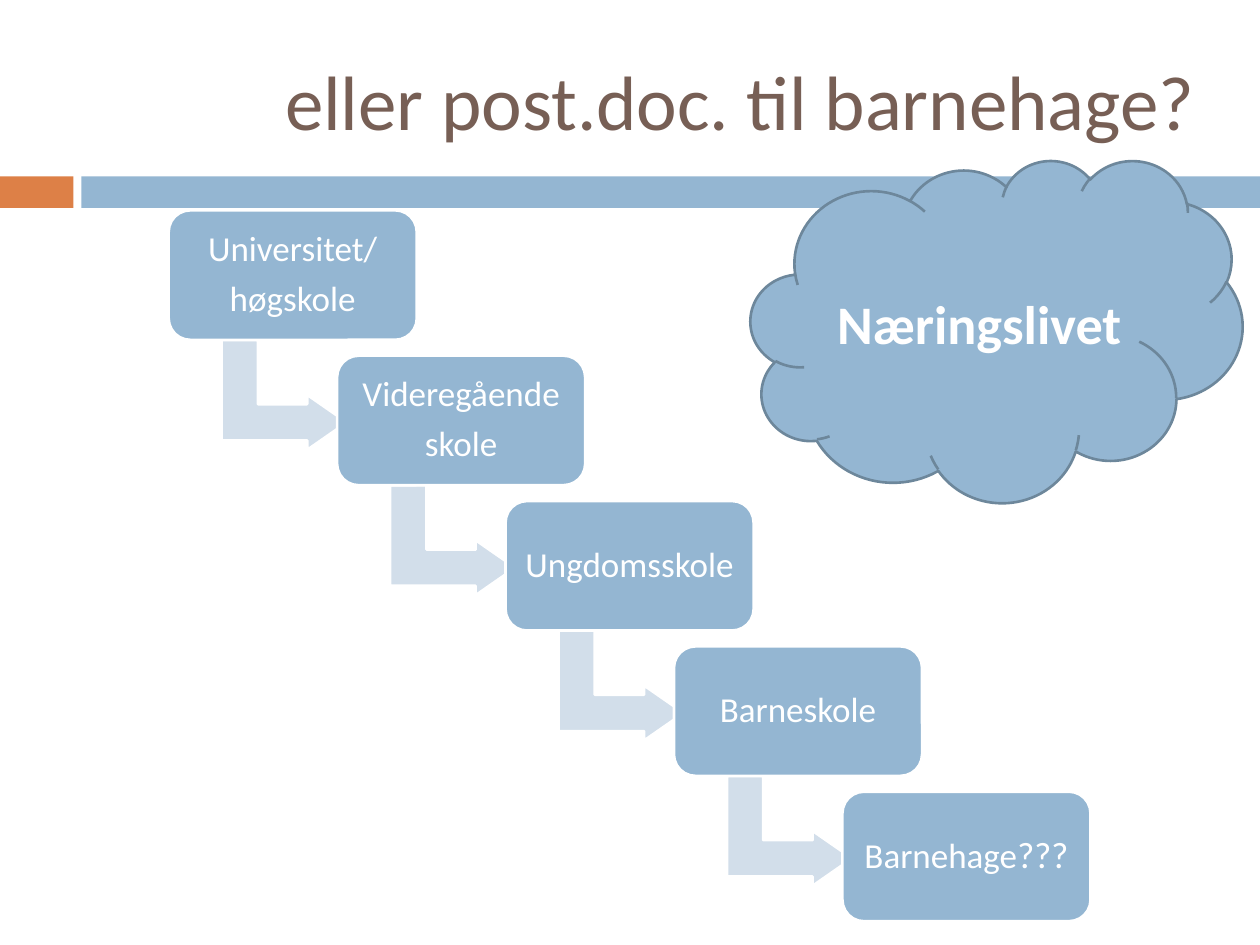
"""Build the slide with the school staircase and the business cloud."""
from pptx import Presentation
from pptx.dml.color import RGBColor
from pptx.enum import shapes, text
from pptx.util import Pt

HUES = {"blue": "94B6D2", "pale": "D2DEEA", "orange": "DD8047",
        "brown": "775F55", "edge": "6D879B", "white": "FFFFFF"}
KIND = shapes.MSO_SHAPE
ALIGN = text.PP_ALIGN

deck = Presentation()
deck.slide_width, deck.slide_height = Pt(720), Pt(540)
slide = deck.slides.add_slide(deck.slide_layouts[6])


def draw(kind, area, fill, edge=None):
    item = slide.shapes.add_shape(kind, *[Pt(v) for v in area])
    item.shadow.inherit = False
    item.fill.solid()
    item.fill.fore_color.rgb = RGBColor.from_string(HUES[fill])
    if edge:
        item.line.color.rgb = RGBColor.from_string(HUES[edge])
        item.line.width = Pt(1.5)
    else:
        item.line.fill.background()
    return item


def write(item, words, size, hue="white", align=ALIGN.CENTER, bold=False):
    frame = item.text_frame
    frame.word_wrap = True
    frame.vertical_anchor = text.MSO_ANCHOR.MIDDLE
    frame.text = words
    for para in frame.paragraphs:
        para.alignment = align
        for run in para.runs:
            run.font.name = "Calibri"
            run.font.size = Pt(size)
            run.font.bold = bold
            run.font.color.rgb = RGBColor.from_string(HUES[hue])
    return frame


draw(KIND.RECTANGLE, (0, 100.8, 42, 18), "orange")
draw(KIND.RECTANGLE, (46.5, 100.8, 673.5, 18), "blue")
title = slide.shapes.add_textbox(Pt(48), Pt(18), Pt(642.5), Pt(78))
write(title, "eller post.doc. til barnehage?", 44, "brown", ALIGN.RIGHT)

steps = ["Universitet/\nhøgskole", "Videregående\nskole", "Ungdomsskole",
         "Barneskole", "Barnehage"]
for i, name in enumerate(steps):
    left, top = 96.4 + 96.25 * i, 120.2 + 83.05 * i
    if i < len(steps) - 1:
        arrow = draw(KIND.BENT_UP_ARROW, (left + 34.6, top + 69.7, 62.8, 71.5),
                     "pale", "white")
        arrow.rotation = 90
        for k, ratio in enumerate((0.33, 0.25, 0.36)):
            arrow.adjustments[k] = ratio
    box = draw(KIND.ROUNDED_RECTANGLE, (left, top, 141.8, 74), "blue", "white")
    frame = write(box, name, 20)
    frame.margin_left = frame.margin_right = Pt(5.7)
    frame.margin_top = frame.margin_bottom = Pt(5.7)
    for para in frame.paragraphs:
        para.line_spacing = 0.9
        para.space_after = Pt(7)

mark = frame.paragraphs[0].add_run()
mark.text = "???"
mark.font.name = "Calibri"
mark.font.size = Pt(21)
mark.font.color.rgb = RGBColor.from_string(HUES["white"])

cloud = draw(KIND.CLOUD, (429, 91.4, 281, 195.5), "blue", "edge")
write(cloud, "Næringslivet", 31, bold=True)

deck.save("out.pptx")
